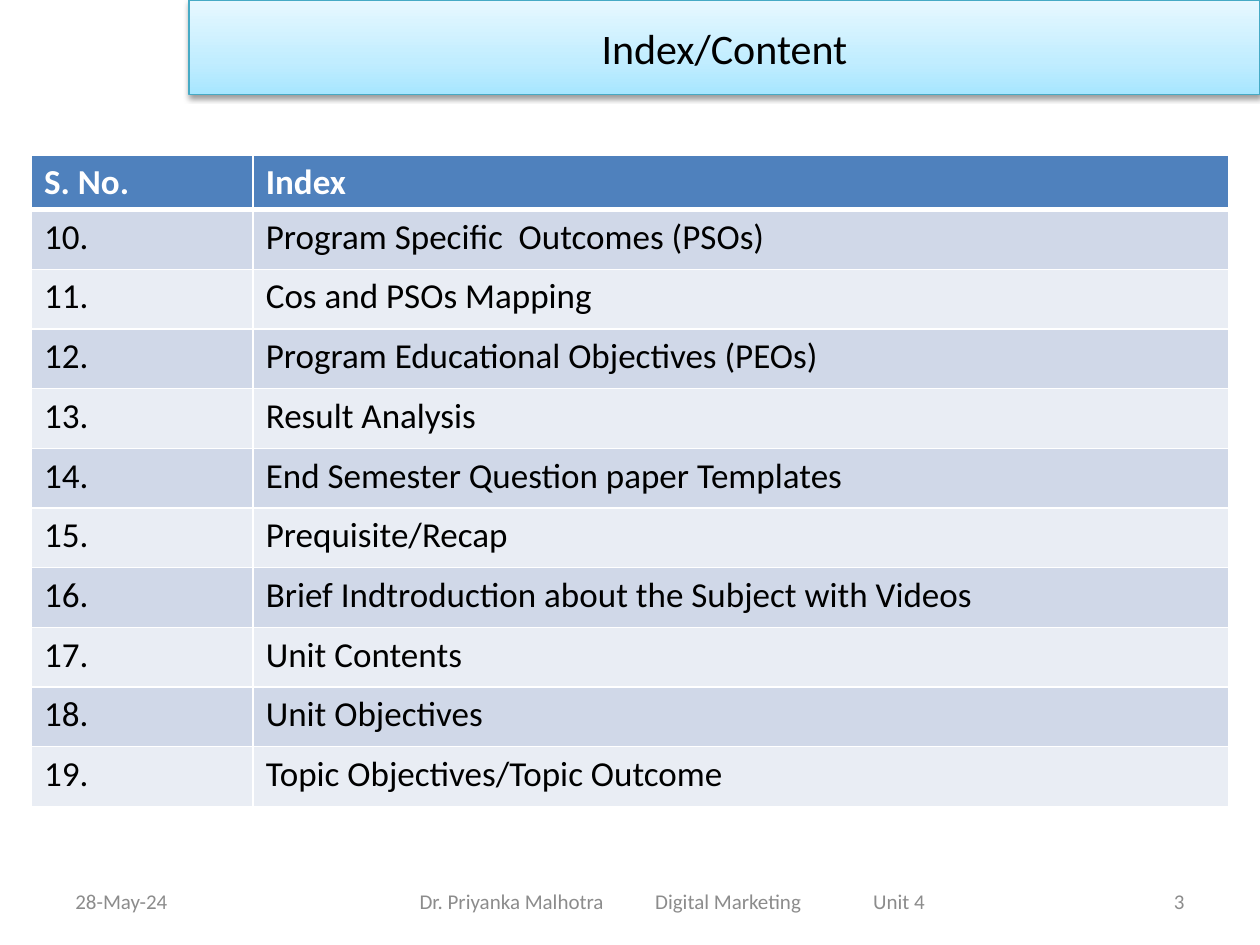
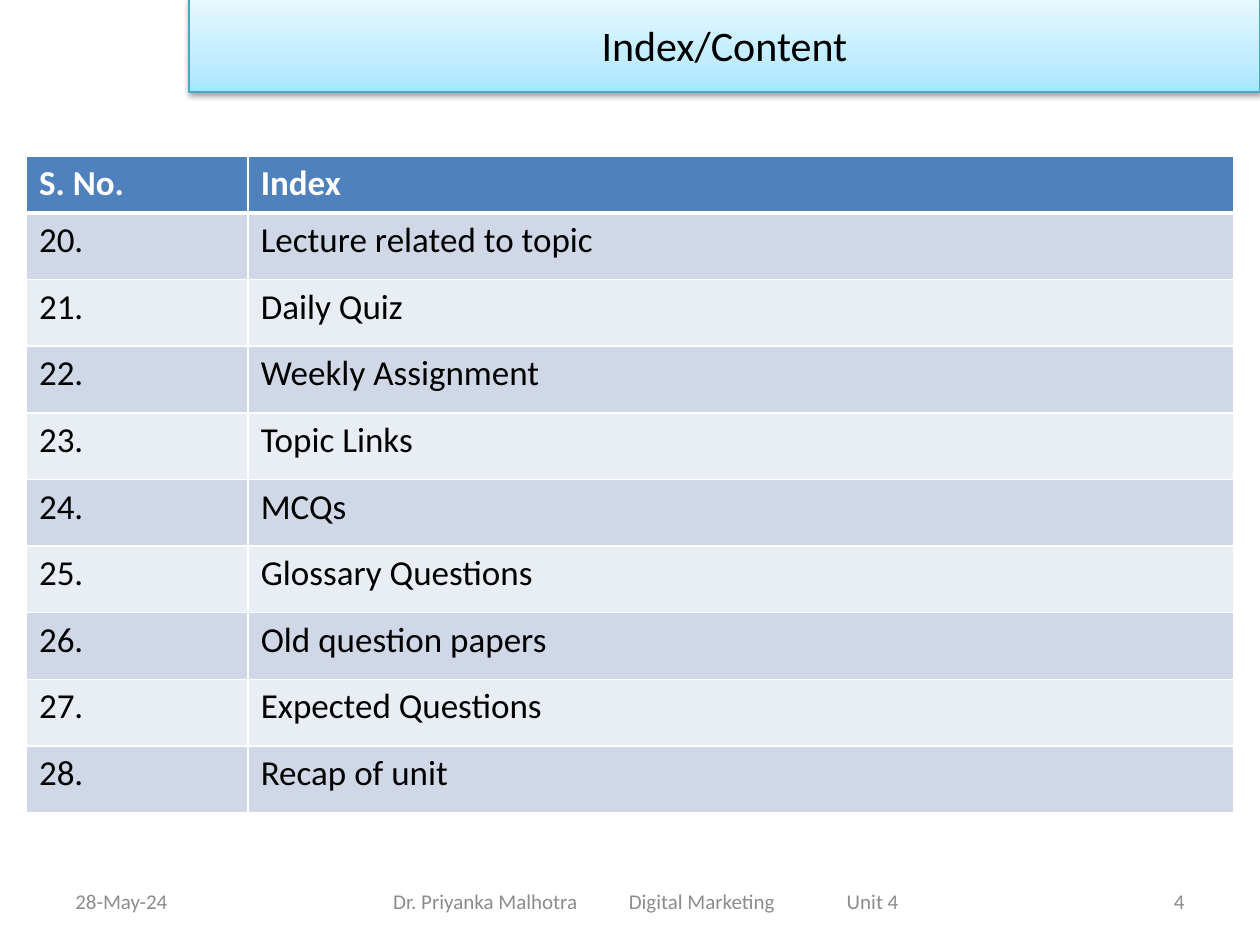
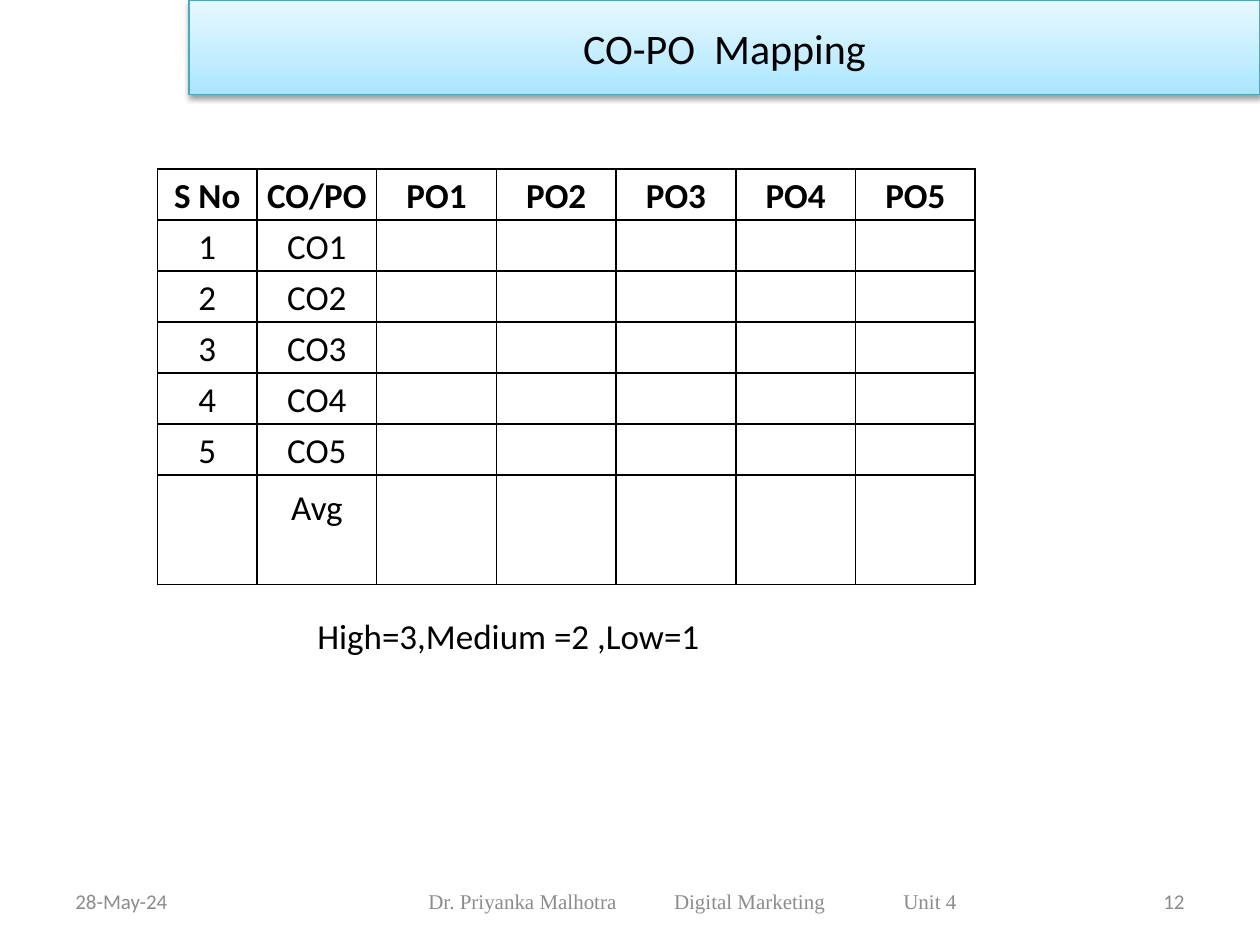
from copy import deepcopy

from lxml.etree import SubElement
from pptx import Presentation
from pptx.dml.color import RGBColor
from pptx.enum.shapes import MSO_SHAPE
from pptx.enum.text import MSO_ANCHOR, PP_ALIGN
from pptx.oxml.ns import qn
from pptx.util import Inches, Pt

COLORS = {
    "black": "000000", "white": "FFFFFF", "footer": "8C8C8C",
    "header": "4F81BD", "odd": "D0D8E8", "even": "E9EDF4",
    "title_line": "46AAC5",
}
TITLE_GRADIENT = [(0, "A7E6FF"), (0.35, "C1EDFF"), (1, "E7F8FF")]
FOOTER_PARTS = ["Dr. Priyanka Malhotra", "Digital Marketing", "Unit 4"]

# Per slide: title, title top, number, footer box left and width,
# footer text start, its two tab stops, footer font
SLIDES = [
    ("Index/Content", 0, "3", 1.83, 7, 3.33, (1.87, 3.6), "Calibri"),
    ("Index/Content", -0.02, "4", 1.67, 6.92, 3.12, (1.87, 3.6), "Calibri"),
    ("CO-PO  Mapping", 0, "12", 2.75, 5.5, 3.4, (1.95, 3.77), "Times New Roman"),
]

# Per index table: left, top, width, height, header height, first number, topics
INDEX_TABLES = [
    (0.25, 1.23, 9.5, 5.17, 0.43, 10, [
        "Program Specific  Outcomes (PSOs)", "Cos and PSOs Mapping",
        "Program Educational Objectives (PEOs)", "Result Analysis",
        "End Semester Question paper Templates", "Prequisite/Recap",
        "Brief Indtroduction about the Subject with Videos",
        "Unit Contents", "Unit Objectives", "Topic Objectives/Topic Outcome"]),
    (0.21, 1.24, 9.58, 5.21, 0.45, 20, [
        "Lecture related to topic", "Daily Quiz", "Weekly Assignment",
        "Topic Links", "MCQs", "Glossary Questions", "Old question papers",
        "Expected Questions", "Recap of unit"]),
]


def write(text_frame, text, size, color="black", bold=False,
          align=PP_ALIGN.LEFT, font="Calibri"):
    text_frame.text = text
    paragraph = text_frame.paragraphs[0]
    paragraph.alignment = align
    for run in paragraph.runs:
        run.font.name = font
        run.font.size = Pt(size)
        run.font.bold = bold
        run.font.color.rgb = RGBColor.from_string(COLORS[color])
    return paragraph


def set_borders(cell, color, bottom=1):
    properties = cell._tc.get_or_add_tcPr()
    for index, side in enumerate(("lnL", "lnR", "lnT", "lnB")):
        width = bottom if side == "lnB" else 1
        line = SubElement(properties, qn("a:" + side), w=str(Pt(width)))
        fill = SubElement(line, qn("a:solidFill"))
        SubElement(fill, qn("a:srgbClr"), val=COLORS[color])
        properties.insert(index, line)


presentation = Presentation()
presentation.slide_width = Inches(10)
presentation.slide_height = Inches(7.5)

# Title bands and footers
for title, top, number, left, width, start, tab_stops, font in SLIDES:
    slide = presentation.slides.add_slide(presentation.slide_layouts[6])

    band = slide.shapes.add_shape(
        MSO_SHAPE.RECTANGLE, Inches(1.5), Inches(top), Inches(8.5), Inches(0.75))
    band.fill.gradient()
    band.fill.gradient_angle = 90
    stop_list = band._element.spPr.find(".//" + qn("a:gsLst"))
    stop_list.insert(1, deepcopy(stop_list[0]))
    for stop, (position, color) in zip(band.fill.gradient_stops, TITLE_GRADIENT):
        stop.position = position
        stop.color.rgb = RGBColor.from_string(color)
    band.line.color.rgb = RGBColor.from_string(COLORS["title_line"])
    band.line.width = Pt(0.75)
    band.shadow.inherit = False
    effects = band._element.spPr.find(qn("a:effectLst"))
    shadow = SubElement(effects, qn("a:outerShdw"), blurRad="40000",
                        dist="20000", dir="5400000", rotWithShape="0")
    shadow_color = SubElement(shadow, qn("a:srgbClr"), val=COLORS["black"])
    SubElement(shadow_color, qn("a:alpha"), val="38000")
    band.text_frame.vertical_anchor = MSO_ANCHOR.MIDDLE
    write(band.text_frame, title, 24, align=PP_ALIGN.CENTER)

    footers = [
        ("28-May-24", 0.5, 2.33, 0.1, PP_ALIGN.LEFT, "Calibri"),
        ("\t".join(FOOTER_PARTS), left, width, start - left, PP_ALIGN.LEFT, font),
        (number, 7.17, 2.33, 0.1, PP_ALIGN.RIGHT, "Calibri"),
    ]
    for text, box_left, box_width, margin, align, footer_font in footers:
        box = slide.shapes.add_textbox(
            Inches(box_left), Inches(6.95), Inches(box_width), Inches(0.4))
        text_frame = box.text_frame
        text_frame.word_wrap = True
        text_frame.vertical_anchor = MSO_ANCHOR.MIDDLE
        text_frame.margin_left = Inches(margin)
        paragraph = write(text_frame, text, 12, "footer", False, align, footer_font)
        if "\t" in text:
            tab_list = SubElement(paragraph._p.get_or_add_pPr(), qn("a:tabLst"))
            for tab_stop in tab_stops:
                SubElement(tab_list, qn("a:tab"), pos=str(Inches(tab_stop)), algn="l")

# Index tables
for slide, (left, top, width, height, header_height, first, topics) in zip(
        presentation.slides, INDEX_TABLES):
    rows = [("S. No.", "Index")]
    rows += [(f"{number}.", topic) for number, topic in enumerate(topics, first)]
    table = slide.shapes.add_table(
        len(rows), 2, Inches(left), Inches(top), Inches(width), Inches(height)).table
    table.horz_banding = False
    table.columns[0].width = Inches(1.76)
    table.columns[1].width = Inches(width - 1.76)
    for row_index, values in enumerate(rows):
        is_header = row_index == 0
        row_fill = "header" if is_header else ("even", "odd")[row_index % 2]
        table.rows[row_index].height = Inches(
            header_height if is_header else (height - header_height) / len(topics))
        for cell, value in zip(table.rows[row_index].cells, values):
            write(cell.text_frame, value, 20, "white" if is_header else "black", is_header)
            cell.fill.solid()
            cell.fill.fore_color.rgb = RGBColor.from_string(COLORS[row_fill])
            set_borders(cell, "white", bottom=3 if is_header else 1)

# Mapping table
slide = presentation.slides[2]
mapping_rows = [["S No", "CO/PO"] + [f"PO{number}" for number in range(1, 6)]]
mapping_rows += [[str(number), f"CO{number}"] + [""] * 5 for number in range(1, 6)]
mapping_rows.append(["", "Avg"] + [""] * 5)
table = slide.shapes.add_table(
    7, 7, Inches(1.25), Inches(1.34), Inches(6.5), Inches(3.3)).table
table.horz_banding = False
for column_index, column in enumerate(table.columns):
    column.width = Inches(0.95 if column_index else 0.79)
for row_index, values in enumerate(mapping_rows):
    is_average = row_index == 6
    table.rows[row_index].height = Inches(0.87 if is_average else (3.3 - 0.87) / 6)
    for cell, value in zip(table.rows[row_index].cells, values):
        if value:
            paragraph = write(cell.text_frame, value, 20, bold=row_index == 0,
                              align=PP_ALIGN.CENTER)
            paragraph.line_spacing = 1.15
            if not is_average:
                cell.margin_left = cell.margin_right = Inches(0.07)
                cell.margin_top = cell.margin_bottom = 0
        cell.fill.background()
        set_borders(cell, "black")

# Rating legend
legend = slide.shapes.add_textbox(Inches(2.42), Inches(4.83), Inches(5.03), Inches(0.74))
legend.text_frame.word_wrap = True
write(legend.text_frame, "High=3,Medium =2 ,Low=1", 20)

presentation.save("out.pptx")
